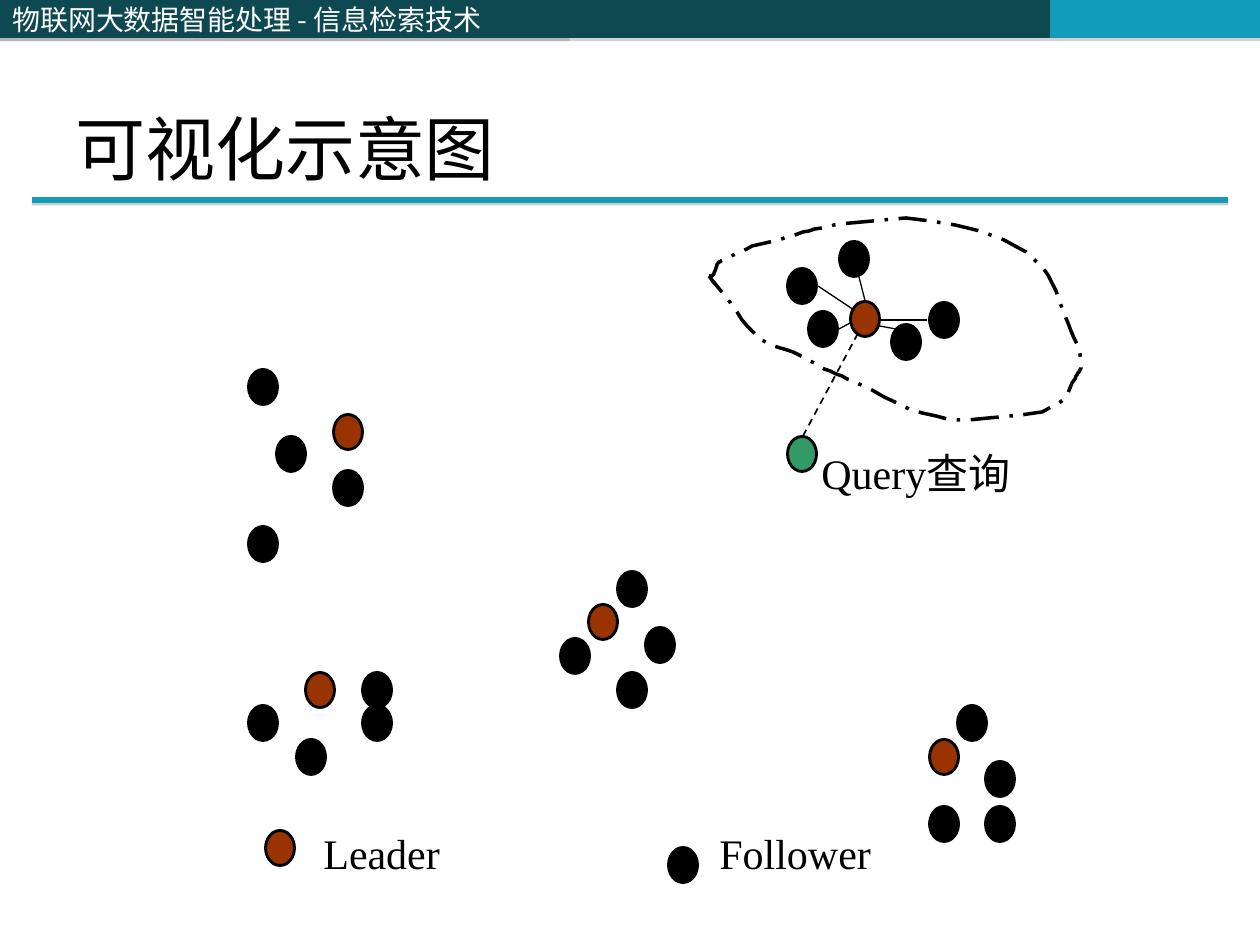
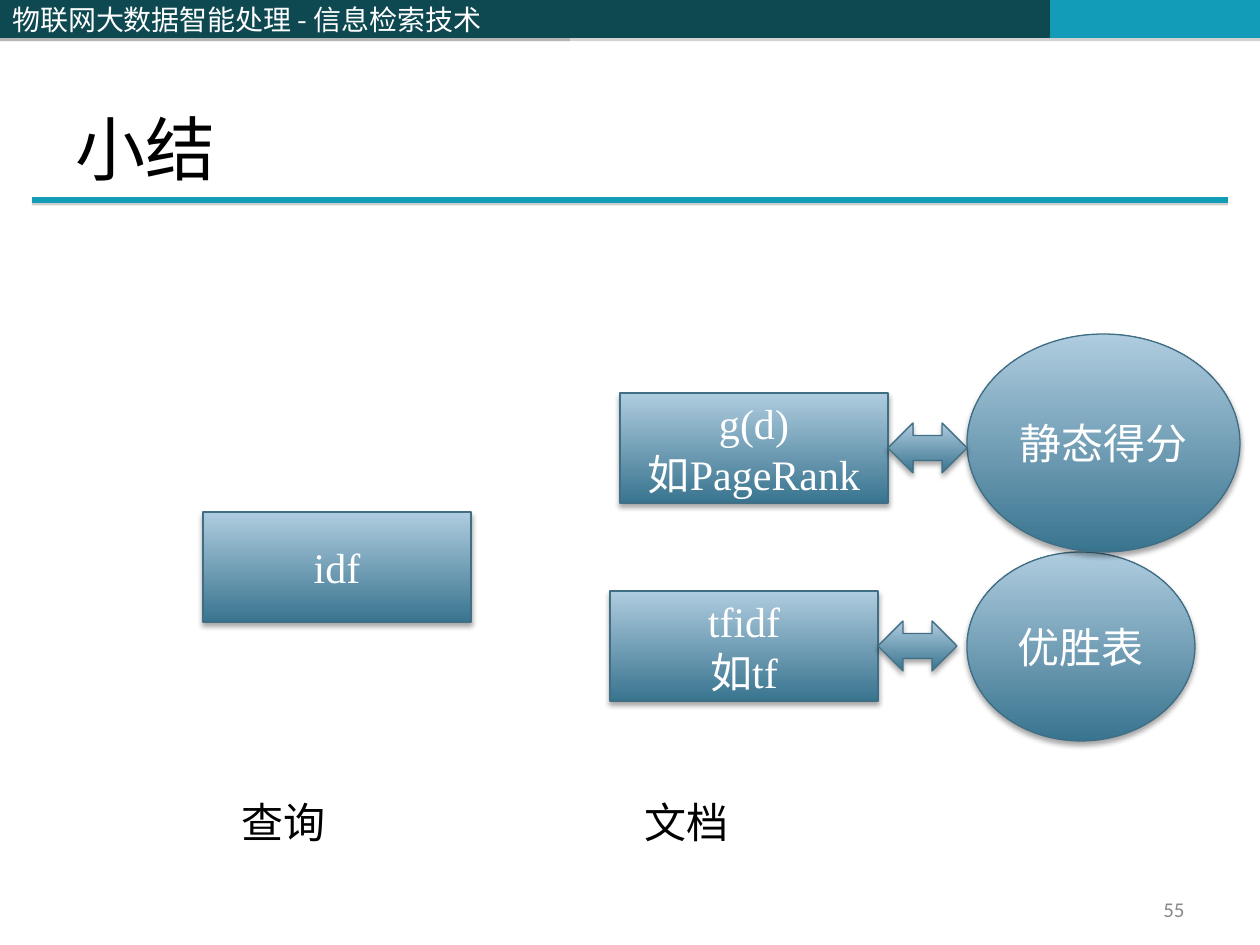
from lxml import etree
from pptx import Presentation
from pptx.dml.color import RGBColor
from pptx.enum.dml import MSO_LINE
from pptx.enum.shapes import MSO_CONNECTOR, MSO_SHAPE
from pptx.enum.text import MSO_ANCHOR, PP_ALIGN
from pptx.oxml.ns import qn
from pptx.util import Pt

PX = 914400 / 126
RECT, OVAL, ARROW = MSO_SHAPE.RECTANGLE, MSO_SHAPE.OVAL, MSO_SHAPE.LEFT_RIGHT_ARROW
LEFT, MID, RIGHT = PP_ALIGN.LEFT, PP_ALIGN.CENTER, PP_ALIGN.RIGHT
TOP, CENTER, BOTTOM = MSO_ANCHOR.TOP, MSO_ANCHOR.MIDDLE, MSO_ANCHOR.BOTTOM
DASH, LONG_DOT = MSO_LINE.DASH, MSO_LINE.LONG_DASH_DOT

BLACK = RGBColor(0x00, 0x00, 0x00)
WHITE = RGBColor(0xFF, 0xFF, 0xFF)
GRAY = RGBColor(0x89, 0x89, 0x89)
DARK = RGBColor(0x0E, 0x48, 0x51)
TEAL = RGBColor(0x13, 0x9C, 0xB7)
RUST = RGBColor(0x99, 0x33, 0x00)
GREEN = RGBColor(0x33, 0x99, 0x66)
DEEP = RGBColor(0x39, 0x74, 0x8F)
PALE = RGBColor(0xAF, 0xCC, 0xDF)
EDGE = RGBColor(0x40, 0x6E, 0x84)
SERIF, SANS, CJK, PLAIN = "Times New Roman", "Noto Sans", "Noto Sans CJK SC", "Calibri"

# Shadows: colour, opacity in percent, blur and distance in points
BAND_SHADE = ("808080", 35, 0, 1.8)
RULE_SHADE = ("808080", 38, 0, 1.6)
NODE_SHADE = ("000000", 35, 3.1, 1.8)

# Shared frame: left, width, colour, text
COURSE = "物联网大数据智能处理 - 信息检索技术"
BANDS = [(0, 514, DARK, ""), (514, 536, DARK, ""), (1050, 210, TEAL, ""),
         (0, 570, DARK, COURSE)]

# Slide 1: each cluster is a leader and its followers, by centre
DOT = (29, 35)
CLUSTERS = [
    ((348, 432), [(263, 387), (291, 454), (348, 488), (263, 544)]),
    ((865, 319), [(802, 286), (823, 329), (906, 342), (944, 320), (854, 259)]),
    ((320, 690), [(377, 690), (377, 723), (263, 723), (311, 757)]),
    ((603, 622), [(632, 589), (660, 645), (632, 690), (575, 656)]),
    ((944, 757), [(972, 723), (1000, 779), (944, 824), (1000, 824)]),
    ((280, 848), [(683, 865)]),  # the key
]
QUERY = (802, 454)
SPOKES = [(869, 324, 896, 329), (872, 320, 927, 320), (869, 316, 859, 277),
          (863, 316, 818, 286), (863, 316, 839, 329)]
PROBE = (803, 436, 863, 324)
LABELS = [("Query查询", (809, 441, 216, 63)), ("Leader", (311, 821, 156, 63)),
          ("Follower", (707, 821, 200, 63))]

# Outline of the searched cluster: start, then two handles and an end per curve
START = (709, 276)
CURVES = [
    ((726, 300), (698, 262), (726, 297)), ((738, 312), (746, 329), (762, 340)),
    ((772, 348), (788, 349), (799, 355)), ((808, 359), (815, 365), (824, 369)),
    ((835, 374), (848, 378), (859, 384)), ((885, 396), (908, 412), (936, 416)),
    ((958, 423), (978, 418), (1000, 417)), ((1016, 416), (1027, 415), (1042, 412)),
    ((1051, 407), (1060, 404), (1066, 397)), ((1068, 389), (1077, 375), (1077, 375)),
    ((1079, 372), (1082, 368), (1081, 363)), ((1080, 345), (1070, 331), (1065, 316)),
    ((1060, 301), (1053, 281), (1043, 268)), ((1013, 232), (951, 222), (906, 218)),
    ((882, 219), (863, 222), (840, 224)), ((828, 227), (815, 229), (803, 232)),
    ((788, 238), (770, 242), (752, 246)), ((742, 251), (731, 257), (721, 261)),
    ((719, 263), (717, 263), (717, 265)), ((713, 271), (717, 276), (709, 276)),
]
STEPS = 6

# Slide 2: kind, box, lines of text
NODES = [
    (RECT, (620, 393, 268, 110), ["g(d)", "如PageRank"]),
    (RECT, (610, 591, 268, 110), ["tfidf", "如tf"]),
    (RECT, (203, 512, 268, 110), ["idf"]),
    (OVAL, (967, 552, 228, 189), ["优胜表"]),
    (OVAL, (967, 334, 273, 218), ["静态得分"]),
    (ARROW, (878, 621, 79, 50), []),
    (ARROW, (888, 423, 79, 50), []),
]
SIDES = [("查询", 229), ("文档", 632)]


def emu(*vals):
    return [round(v * PX) for v in vals]


def shade(shape, look=None):
    """Replace the theme shadow by the given one, or by none."""
    box = etree.SubElement(shape._element.spPr, qn("a:effectLst"))
    if look:
        hue, alpha, blur, dist = look
        drop = etree.SubElement(box, qn("a:outerShdw"), blurRad=str(Pt(blur)),
                                dist=str(Pt(dist)), dir="5400000", rotWithShape="0")
        tint = etree.SubElement(drop, qn("a:srgbClr"), val=hue)
        etree.SubElement(tint, qn("a:alpha"), val=str(alpha * 1000))


def write(shape, lines, size=24, color=BLACK, font=SERIF, align=LEFT, anchor=TOP):
    frame = shape.text_frame
    frame.word_wrap = True
    frame.vertical_anchor = anchor
    for i, line in enumerate(lines):
        para = frame.add_paragraph() if i else frame.paragraphs[0]
        para.alignment = align
        run = para.add_run()
        run.text = line
        run.font.size, run.font.name = Pt(size), font
        run.font.color.rgb = color


def label(slide, text, box, **fmt):
    write(slide.shapes.add_textbox(*emu(*box)), [text], **fmt)


def line(slide, ends, color=BLACK, width=0.75, dash=None, look=None):
    rule = slide.shapes.add_connector(MSO_CONNECTOR.STRAIGHT, *emu(*ends))
    rule.line.color.rgb, rule.line.width = color, Pt(width)
    if dash:
        rule.line.dash_style = dash
    shade(rule, look)


def dot(slide, spot, color):
    (x, y), (w, h) = spot, DOT
    disc = slide.shapes.add_shape(OVAL, *emu(x - w / 2, y - h / 2, w, h))
    disc.fill.solid()
    disc.fill.fore_color.rgb = color
    disc.line.color.rgb, disc.line.width = BLACK, Pt(1.63)
    shade(disc)


def outline(slide):
    spots, last = [], START
    for a, b, end in CURVES:
        for t in (k / STEPS for k in range(1, STEPS + 1)):
            s = 1 - t
            spots.append(tuple(
                s**3 * p + 3 * s * s * t * q + 3 * s * t * t * r + t**3 * e
                for p, q, r, e in zip(last, a, b, end)))
        last = end
    pen = slide.shapes.build_freeform(*START, scale=PX)
    pen.add_line_segments(spots, close=True)
    ring = pen.convert_to_shape()
    ring.fill.background()
    ring.line.color.rgb, ring.line.width = BLACK, Pt(2)
    ring.line.dash_style = LONG_DOT
    shade(ring)


def node(slide, kind, box, lines):
    shape = slide.shapes.add_shape(kind, *emu(*box))
    shape.fill.gradient()
    shape.fill.gradient_angle = 90
    for stop, color in zip(shape.fill.gradient_stops, (DEEP, PALE)):
        stop.color.rgb = color
    shape.line.color.rgb, shape.line.width = EDGE, Pt(0.75)
    shade(shape, NODE_SHADE)
    write(shape, lines, color=WHITE, align=MID, anchor=CENTER)


def start(deck, title):
    """Add a slide with the shared bands, rule and title."""
    slide = deck.slides.add_slide(deck.slide_layouts[6])
    for x, w, color, text in BANDS:
        band = slide.shapes.add_shape(RECT, *emu(x, 0, w, 38))
        band.fill.solid()
        band.fill.fore_color.rgb = color
        band.line.fill.background()
        shade(band, BAND_SHADE)
        if text:
            write(band, [text], size=16, color=WHITE, font=CJK, anchor=CENTER)
    line(slide, (32, 200, 1228, 200), color=TEAL, width=3, look=RULE_SHADE)
    label(slide, title, (63, 38, 1134, 158), size=40, anchor=BOTTOM)
    return slide


def draw_clusters(deck):
    slide = start(deck, "可视化示意图")
    outline(slide)
    for ends in SPOKES:
        line(slide, ends)
    line(slide, PROBE, width=1, dash=DASH)
    for head, tail in CLUSTERS:
        for spot in tail:
            dot(slide, spot, BLACK)
        dot(slide, head, RUST)
    dot(slide, QUERY, GREEN)
    for text, box in LABELS:
        label(slide, text, box)


def draw_summary(deck):
    slide = start(deck, "小结")
    for kind, box, lines in NODES:
        node(slide, kind, box, lines)
    for text, x in SIDES:
        label(slide, text, (x, 790, 120, 63), font=SANS)
    label(slide, "55", (903, 892, 294, 34), size=12, color=GRAY, font=PLAIN,
          align=RIGHT, anchor=CENTER)


def main():
    deck = Presentation()
    deck.slide_width, deck.slide_height = emu(1260, 945)
    draw_clusters(deck)
    draw_summary(deck)
    deck.save("out.pptx")


if __name__ == "__main__":
    main()
